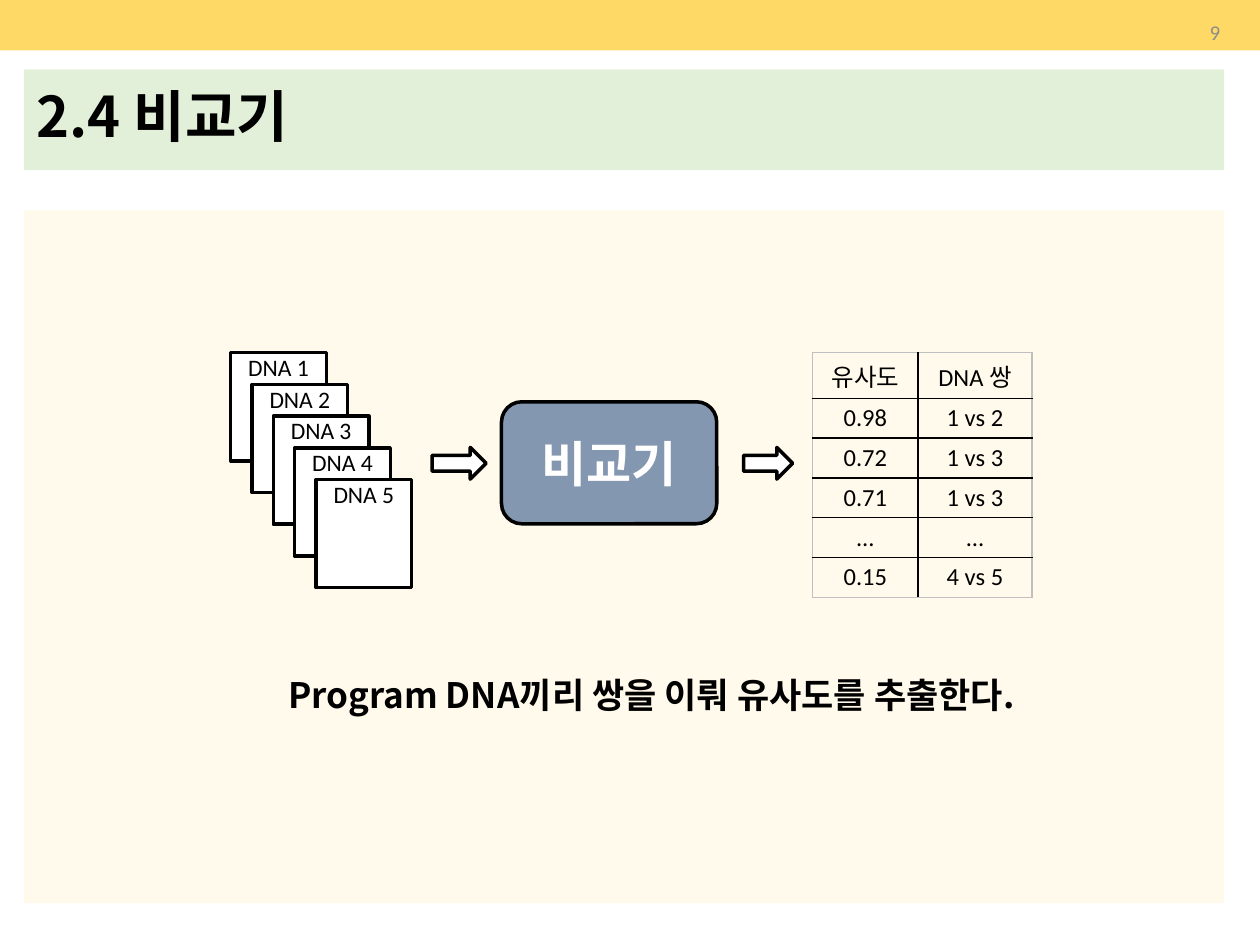
from lxml.etree import SubElement
from pptx import Presentation
from pptx.dml.color import RGBColor
from pptx.enum.shapes import MSO_SHAPE as Shape
from pptx.enum.text import MSO_ANCHOR as Anchor, MSO_AUTO_SIZE as AutoSize, PP_ALIGN as Align
from pptx.oxml.ns import qn
from pptx.util import Cm, Pt

COLORS = {
    "black": "000000",
    "white": "FFFFFF",
    "band": "FFD966",
    "title": "E2F0D9",
    "panel": "FFFAEB",
    "box": "8497B0",
    "number": "8C8C8C",
    "frame": "BFBFBF",
}
LATIN = "Calibri"
KOREAN = "Noto Sans CJK KR"


def rgb(name):
    return RGBColor.from_string(COLORS[name])


class SlideBuilder:
    def __init__(self, prs):
        self.slide = prs.slides.add_slide(prs.slide_layouts[5])

    def paragraph(self, p, text, size, color="black", bold=False, align=Align.CENTER, font=LATIN):
        p.text = text
        p.alignment = align
        f = p.font
        f.name, f.size, f.bold = font, Pt(size), bold
        f.color.rgb = rgb(color)
        SubElement(p._p.pPr.find(qn("a:defRPr")), qn("a:ea"), typeface=KOREAN)

    def title(self, text, x, y, w, h):
        sp = self.slide.shapes.title
        sp.left, sp.top, sp.width, sp.height = Cm(x), Cm(y), Cm(w), Cm(h)
        sp.fill.solid()
        sp.fill.fore_color.rgb = rgb("title")
        tf = sp.text_frame
        tf.auto_size = AutoSize.NONE
        tf.vertical_anchor = Anchor.MIDDLE
        p = tf.paragraphs[0]
        self.paragraph(p, text, 32, bold=True, align=Align.LEFT, font=KOREAN)
        p.line_spacing = 0.9

    def shape(self, kind, x, y, w, h, fill, outlined=True):
        sp = self.slide.shapes.add_shape(kind, Cm(x), Cm(y), Cm(w), Cm(h))
        sp.shadow.inherit = False
        sp.fill.solid()
        sp.fill.fore_color.rgb = rgb(fill)
        if outlined:
            sp.line.color.rgb = rgb("black")
            sp.line.width = Pt(2)
        else:
            sp.line.fill.background()
        return sp

    def card(self, text, x, y, w, h):
        tf = self.shape(Shape.RECTANGLE, x, y, w, h, "white").text_frame
        tf.vertical_anchor = Anchor.TOP
        tf.margin_top = tf.margin_left = tf.margin_right = 0
        self.paragraph(tf.paragraphs[0], text, 13.5)

    def process(self, text, x, y, w, h):
        tf = self.shape(Shape.ROUNDED_RECTANGLE, x, y, w, h, "box").text_frame
        tf.vertical_anchor = Anchor.MIDDLE
        self.paragraph(tf.paragraphs[0], text, 28, "white", bold=True)

    def text(self, text, x, y, w, h, size, anchor=Anchor.TOP, **style):
        tf = self.slide.shapes.add_textbox(Cm(x), Cm(y), Cm(w), Cm(h)).text_frame
        tf.word_wrap = True
        tf.vertical_anchor = anchor
        self.paragraph(tf.paragraphs[0], text, size, **style)

    def borders(self, cell, edges):
        tcPr = cell._tc.get_or_add_tcPr()
        for i, (side, color) in enumerate(edges.items()):
            ln = tcPr.makeelement(qn(f"a:ln{side}"), {"w": str(Pt(1))})
            fill = SubElement(ln, qn("a:solidFill"))
            SubElement(fill, qn("a:srgbClr"), val=COLORS[color])
            tcPr.insert(i, ln)

    def table(self, rows, x, y, widths, row_height):
        n_rows, n_cols = len(rows), len(widths)
        table = self.slide.shapes.add_table(
            n_rows, n_cols, Cm(x), Cm(y), Cm(sum(widths)), Cm(row_height * n_rows)
        ).table
        table.first_row = table.horz_banding = False
        for column, width in zip(table.columns, widths):
            column.width = Cm(width)
        for r, row in enumerate(rows):
            table.rows[r].height = Cm(row_height)
            for c, text in enumerate(row):
                cell = table.cell(r, c)
                cell.fill.background()
                cell.margin_left = cell.margin_right = Cm(0.18)
                cell.margin_top = cell.margin_bottom = Cm(0.1)
                self.paragraph(cell.text_frame.paragraphs[0], text, 14)
                outer = {"L": c == 0, "R": c == n_cols - 1, "T": r == 0, "B": r == n_rows - 1}
                self.borders(cell, {k: "frame" if v else "black" for k, v in outer.items()})


def main():
    prs = Presentation()
    prs.slide_width, prs.slide_height = Cm(25.4), Cm(19.05)
    s = SlideBuilder(prs)

    s.shape(Shape.RECTANGLE, 0.48, 4.24, 24.2, 13.97, "panel", outlined=False)
    s.shape(Shape.RECTANGLE, 0, 0, 25.4, 1.02, "band", outlined=False)
    s.title("2.4 비교기", 0.48, 1.4, 24.2, 2.03)

    for i in range(5):
        s.card(f"DNA {i + 1}", 4.65 + 0.43 * i, 7.11 + 0.64 * i, 1.93, 2.18)
    s.shape(Shape.RIGHT_ARROW, 8.71, 9.02, 1.09, 0.64, "white")
    s.process("비교기", 10.11, 8.1, 4.34, 2.46)
    s.shape(Shape.RIGHT_ARROW, 14.99, 9.02, 0.99, 0.64, "white")

    rows = [
        ("유사도", "DNA 쌍"),
        ("0.98", "1 vs 2"),
        ("0.72", "1 vs 3"),
        ("0.71", "1 vs 3"),
        ("…", "…"),
        ("0.15", "4 vs 5"),
    ]
    s.table(rows, 16.38, 7.11, (2.13, 2.29), 0.76)

    s.text("Program DNA끼리 쌍을 이뤄 유사도를 추출한다.", 5.56, 13.46, 15.24, 1.12, 20,
           bold=True, align=Align.LEFT, font=KOREAN)
    s.text("9", 19.13, 0.13, 5.72, 1.02, 12, anchor=Anchor.MIDDLE,
           color="number", align=Align.RIGHT)
    prs.save("out.pptx")


if __name__ == "__main__":
    main()
